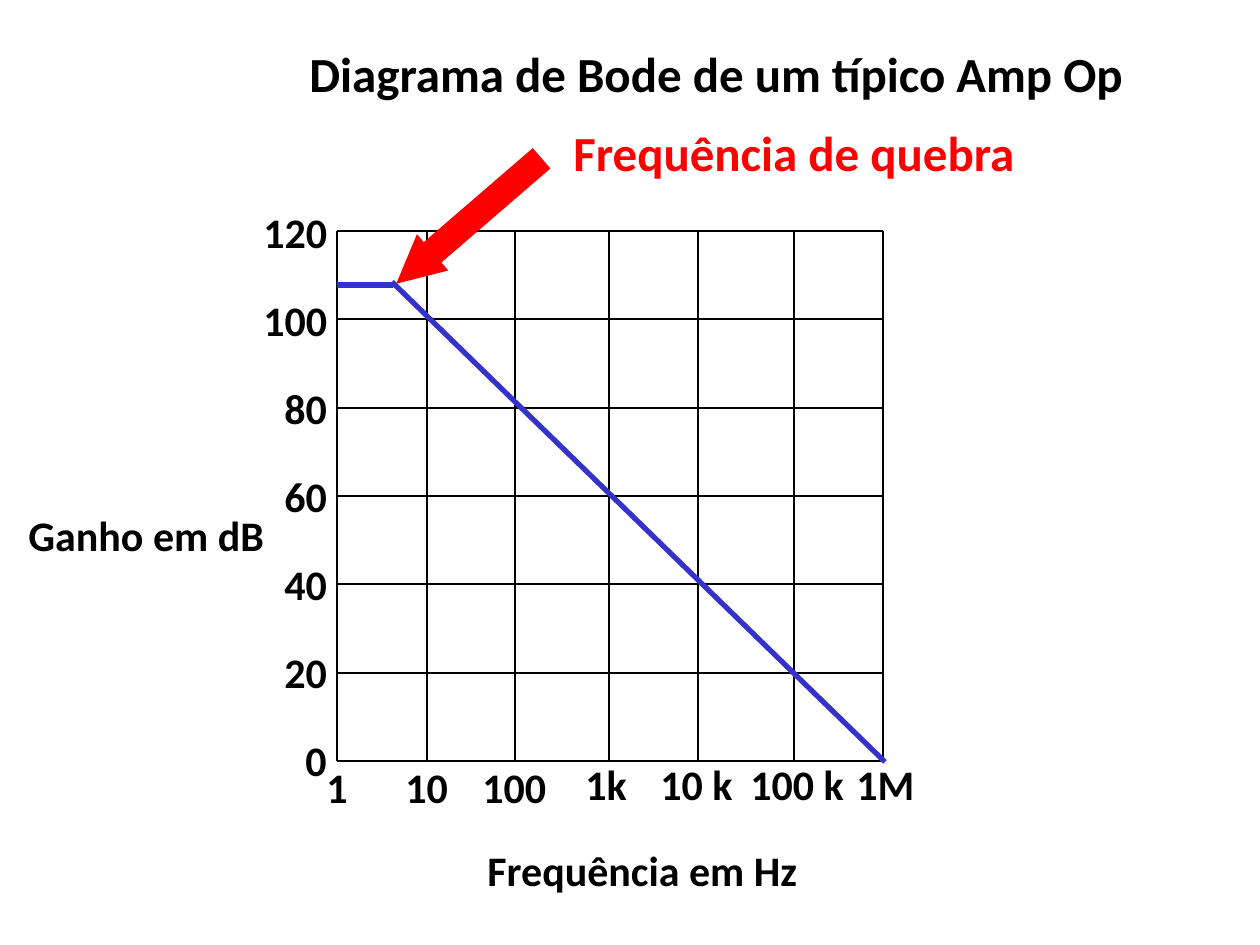
"""Build a slide with the Bode diagram of a typical operational amplifier."""
from dataclasses import dataclass

from lxml import etree
from pptx import Presentation
from pptx.dml.color import RGBColor
from pptx.enum.shapes import MSO_CONNECTOR, MSO_SHAPE
from pptx.enum.text import MSO_ANCHOR, MSO_AUTO_SIZE, PP_ALIGN
from pptx.oxml.ns import qn
from pptx.slide import Slide
from pptx.util import Emu, Pt

STRAIGHT = MSO_CONNECTOR.STRAIGHT
LEFT_ARROW = MSO_SHAPE.LEFT_ARROW
TOP = MSO_ANCHOR.TOP
LEFT = PP_ALIGN.LEFT
NO_AUTOFIT = MSO_AUTO_SIZE.NONE
EMU_PER_PX = 914400 / 126


@dataclass(frozen=True)
class Theme:
    font: str = "Calibri"
    ink: RGBColor = RGBColor(0, 0, 0)
    curve: RGBColor = RGBColor(0x33, 0x33, 0xCC)
    accent: RGBColor = RGBColor(0xFF, 0, 0)
    label_size: Pt = Pt(24)
    title_size: Pt = Pt(28)
    grid_width: Pt = Pt(0.75)
    curve_width: Pt = Pt(3)


THEME = Theme()


@dataclass(frozen=True)
class Label:
    text: str
    x: int
    y: int
    w: int
    h: int = 63
    size: Pt = THEME.label_size
    color: RGBColor = THEME.ink


@dataclass(frozen=True)
class Line:
    x1: int
    y1: int
    x2: int
    y2: int
    color: RGBColor = THEME.ink
    width: Pt = THEME.grid_width


GRID_LEFT, GRID_RIGHT, GRID_TOP, GRID_BOTTOM = 337, 883, 231, 761
COLUMNS = (GRID_LEFT, 427, 515, 609, 698, 794, GRID_RIGHT)
GAINS = ("120", "100", "80", "60", "40", "20", "0")
ROW_STEP = (GRID_BOTTOM - GRID_TOP) / (len(GAINS) - 1)
GAIN_RIGHT, GAIN_TOP = 340, 200

FREQUENCY_LABELS = (
    Label("1", 314, 755, 47),
    Label("10", 393, 755, 68),
    Label("100", 470, 755, 88),
    Label("1k", 573, 752, 67),
    Label("10 k", 648, 752, 97),
    Label("100 k", 738, 752, 118),
    Label("1M", 844, 752, 83),
)
CAPTIONS = (
    Label("Frequência em Hz", 475, 838, 335),
    Label("Ganho em dB", 16, 503, 261),
    Label("Diagrama de Bode de um típico Amp Op", 297, 37, 839, 72,
          THEME.title_size),
    Label("Frequência de quebra", 561, 116, 468, 72,
          THEME.title_size, THEME.accent),
)
CURVE = (
    Line(885, 762, 392, 282, THEME.curve, THEME.curve_width),
    Line(393, 285, 337, 285, THEME.curve, THEME.curve_width),
)


def px(n: float) -> Emu:
    """Convert pixels to EMU."""
    return Emu(round(n * EMU_PER_PX))


def gain_label(i: int, text: str) -> Label:
    """Place a gain label against the left side of the grid."""
    w = 26 + 21 * len(text)
    return Label(text, GAIN_RIGHT - w, GAIN_TOP + 88 * i, w)


def grid_lines() -> list[Line]:
    """Return the horizontal and vertical lines of the grid."""
    ys = [round(GRID_TOP + ROW_STEP * i) for i in range(len(GAINS))]
    rows = [Line(GRID_LEFT, y, GRID_RIGHT, y) for y in ys]
    return rows + [Line(x, GRID_TOP, x, GRID_BOTTOM) for x in COLUMNS]


def draw_line(s: Slide, line: Line) -> None:
    """Draw a straight line without a shadow."""
    sp = s.shapes.add_connector(STRAIGHT, px(line.x1), px(line.y1),
                                px(line.x2), px(line.y2))
    sp.line.color.rgb = line.color
    sp.line.width = line.width
    etree.SubElement(sp._element.spPr, qn("a:effectLst"))


def draw_label(s: Slide, label: Label) -> None:
    """Draw one line of bold text."""
    sp = s.shapes.add_textbox(px(label.x), px(label.y),
                              px(label.w), px(label.h))
    tf = sp.text_frame
    tf.word_wrap = False
    tf.auto_size = NO_AUTOFIT
    tf.vertical_anchor = TOP
    p = tf.paragraphs[0]
    p.alignment = LEFT
    r = p.add_run()
    r.text = label.text
    r.font.name = THEME.font
    r.font.size = label.size
    r.font.bold = True
    r.font.color.rgb = label.color


def draw_arrow(s: Slide) -> None:
    """Draw the arrow that points at the break frequency."""
    sp = s.shapes.add_shape(LEFT_ARROW, px(373), px(197), px(192), px(48))
    sp.adjustments[0] = 0.56
    sp.adjustments[1] = 1
    sp.rotation = 319.2
    sp.fill.solid()
    sp.fill.fore_color.rgb = THEME.accent
    sp.line.fill.background()
    sp.shadow.inherit = False


def main() -> None:
    """Build and save the slide."""
    prs = Presentation()
    prs.slide_width, prs.slide_height = px(1260), px(945)
    s = prs.slides.add_slide(prs.slide_layouts[6])
    for line in (*grid_lines(), *CURVE):
        draw_line(s, line)
    gains = [gain_label(i, text) for i, text in enumerate(GAINS)]
    for label in (*FREQUENCY_LABELS, *gains, *CAPTIONS):
        draw_label(s, label)
    draw_arrow(s)
    prs.save("out.pptx")


if __name__ == "__main__":
    main()
